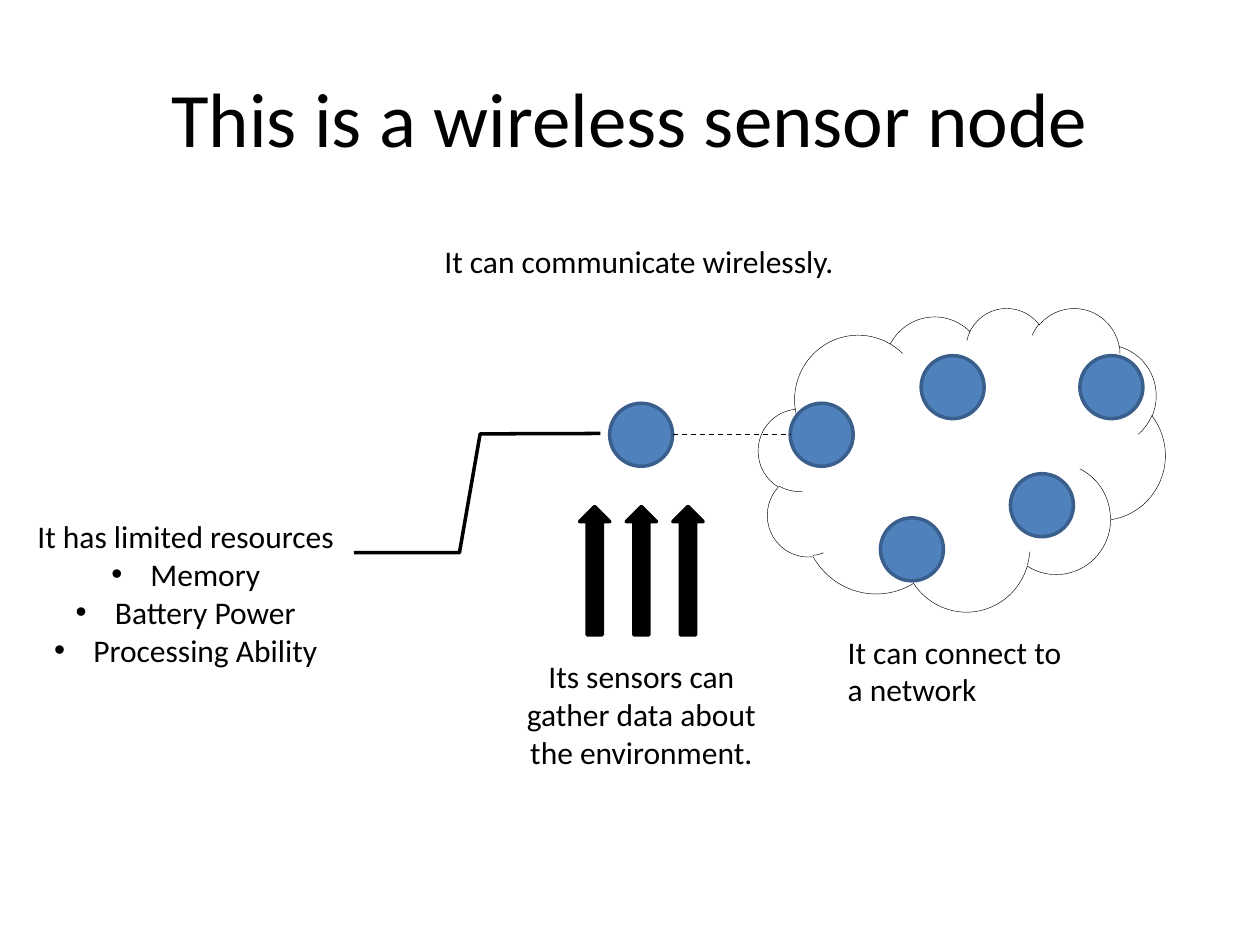
from pptx import Presentation
from pptx.dml.color import RGBColor
from pptx.enum.dml import MSO_LINE
from pptx.enum.shapes import MSO_CONNECTOR, MSO_SHAPE
from pptx.enum.text import MSO_ANCHOR, PP_ALIGN
from pptx.oxml.ns import qn
from pptx.util import Cm, Pt
from lxml.etree import SubElement

COLORS = {"ink": "000000", "paper": "FFFFFF", "node": "4F81BD", "rim": "3A5F8C"}
FONT = "Calibri"
NODE_SIZE = 1.27


def color(name):
    return RGBColor.from_string(COLORS[name])


def write(frame, lines, size=18, align=PP_ALIGN.LEFT, anchor=MSO_ANCHOR.TOP,
          wrap=True, bullets_from=None):
    frame.word_wrap = wrap
    frame.vertical_anchor = anchor
    for index, line in enumerate(lines):
        para = frame.paragraphs[0] if index == 0 else frame.add_paragraph()
        para.alignment = align
        if bullets_from is not None and index >= bullets_from:
            properties = para._p.get_or_add_pPr()
            properties.set("marL", str(Cm(0.79)))
            properties.set("indent", str(Cm(-0.79)))
            SubElement(properties, qn("a:buFont"), typeface="Arial")
            SubElement(properties, qn("a:buChar"), char="•")
        span = para.add_run()
        span.text = line
        span.font.name = FONT
        span.font.size = Pt(size)
        span.font.color.rgb = color("ink")


def add_label(page, left, top, width, height, text, **text_format):
    box = page.shapes.add_textbox(Cm(left), Cm(top), Cm(width), Cm(height))
    write(box.text_frame, [text], **text_format)


def add_figure(shapes, kind, left, top, width, height, fill, line, weight=2):
    figure = shapes.add_shape(kind, Cm(left), Cm(top), Cm(width), Cm(height))
    figure.shadow.inherit = False
    figure.fill.solid()
    figure.fill.fore_color.rgb = color(fill)
    figure.line.color.rgb = color(line)
    figure.line.width = Pt(weight)
    return figure


def add_node(page, left, top):
    add_figure(page.shapes, MSO_SHAPE.FLOWCHART_CONNECTOR, left, top,
               NODE_SIZE, NODE_SIZE, "node", "rim")


def add_title(page, left, top, width, height, text):
    title = page.shapes.title
    title.left, title.top = Cm(left), Cm(top)
    title.width, title.height = Cm(width), Cm(height)
    write(title.text_frame, [text], size=44, align=PP_ALIGN.CENTER,
          anchor=MSO_ANCHOR.MIDDLE)


def add_sensing(page, left, top, width, height):
    length, thickness, pitch, caption_top = 2.59, 0.61, 0.94, 2.92
    arrows = page.shapes.add_group_shape()
    for step in (-1, 0, 1):
        center = left + width / 2 + step * pitch
        arrow = add_figure(arrows.shapes, MSO_SHAPE.RIGHT_ARROW,
                           center - length / 2, top + (length - thickness) / 2,
                           length, thickness, "ink", "ink")
        arrow.rotation = 270
    add_label(page, left, top + caption_top, width, height - caption_top,
              "Its sensors can gather data about the environment.",
              align=PP_ALIGN.CENTER)


def add_resources(page, left, top, width, height):
    callout = add_figure(page.shapes, MSO_SHAPE.LINE_CALLOUT_3_NO_BORDER,
                         left, top, width, height, "paper", "ink")
    leader = (0.3, 1.004, 0.3, 1.32, -0.293, 1.382, -0.295, 1.742)
    for index, value in enumerate(leader):
        callout.adjustments[index] = value
    write(callout.text_frame,
          ["It has limited resources", "Memory", "Battery Power", "Processing Ability"],
          align=PP_ALIGN.CENTER, anchor=MSO_ANCHOR.MIDDLE, bullets_from=1)


def add_network(page, left, top, width, height):
    cloud_height = 6.12
    add_figure(page.shapes, MSO_SHAPE.CLOUD, left, top, width, cloud_height,
               "paper", "ink", weight=0.25)
    for across, down in ((3.28, 0.97), (2.46, 4.24), (5.08, 3.35),
                         (0.64, 1.93), (6.48, 0.97)):
        add_node(page, left + across, top + down)
    add_label(page, left + 1.55, top + 6.43, 5.13, height - 6.43,
              "It can connect to a network")


def add_radio_link(page, left, right, level):
    link = page.shapes.add_connector(MSO_CONNECTOR.STRAIGHT, Cm(left), Cm(level),
                                     Cm(right), Cm(level))
    link.line.color.rgb = color("ink")
    link.line.width = Pt(0.75)
    link.line.dash_style = MSO_LINE.DASH
    SubElement(link._element.spPr, qn("a:effectLst"))


def main():
    deck = Presentation()
    deck.slide_width, deck.slide_height = Cm(25.4), Cm(19.05)
    page = deck.slides.add_slide(deck.slide_layouts[5])
    page.background.fill.solid()
    page.background.fill.fore_color.rgb = color("paper")

    sensor_left, sensor_top = 12.29, 8.13
    add_node(page, sensor_left, sensor_top)
    add_title(page, 1.27, 0.76, 22.86, 3.18, "This is a wireless sensor node")
    add_sensing(page, 9.93, 10.21, 6, 5.49)
    add_label(page, 8.71, 4.75, 8.46, 1.02, "It can communicate wirelessly.", wrap=False)
    add_resources(page, 0.38, 9.93, 6.73, 4.04)
    add_network(page, 15.29, 6.2, 8.2, 8.23)
    add_radio_link(page, sensor_left + NODE_SIZE, 15.93, sensor_top + NODE_SIZE / 2)
    deck.save("out.pptx")


if __name__ == "__main__":
    main()
